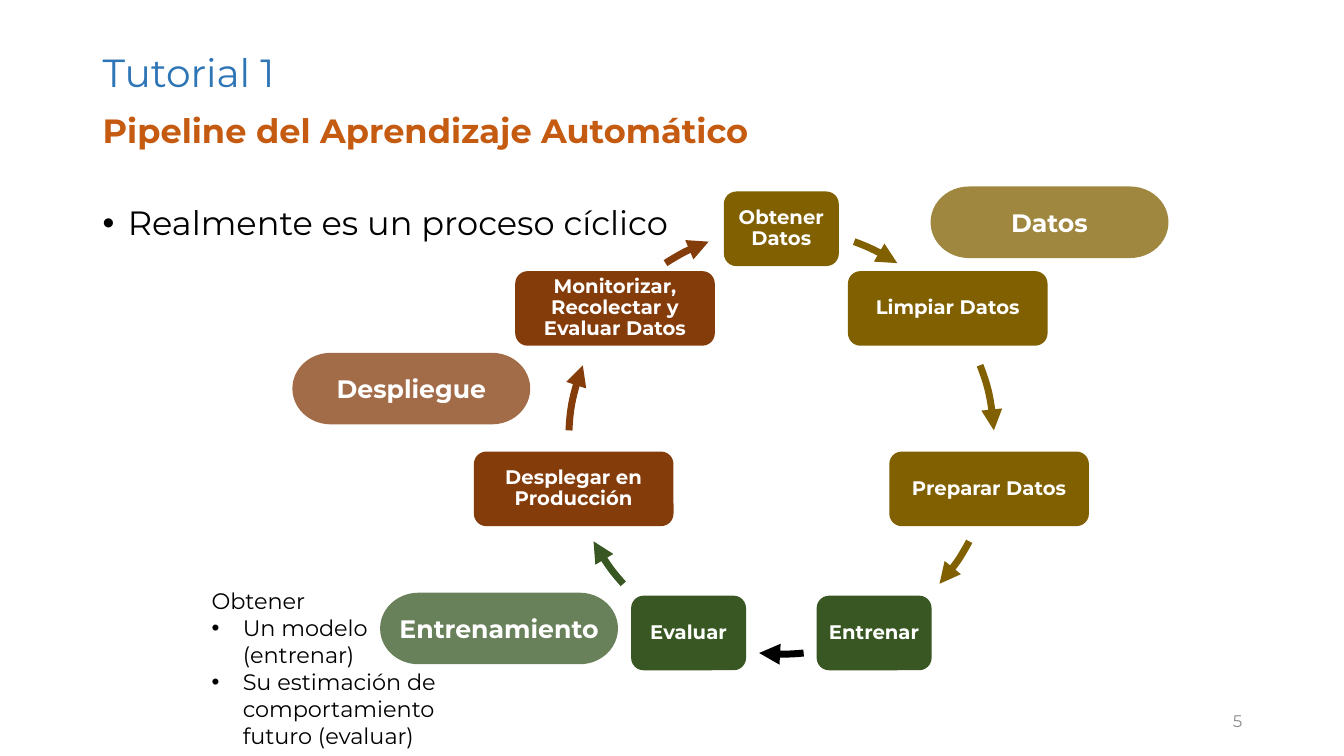
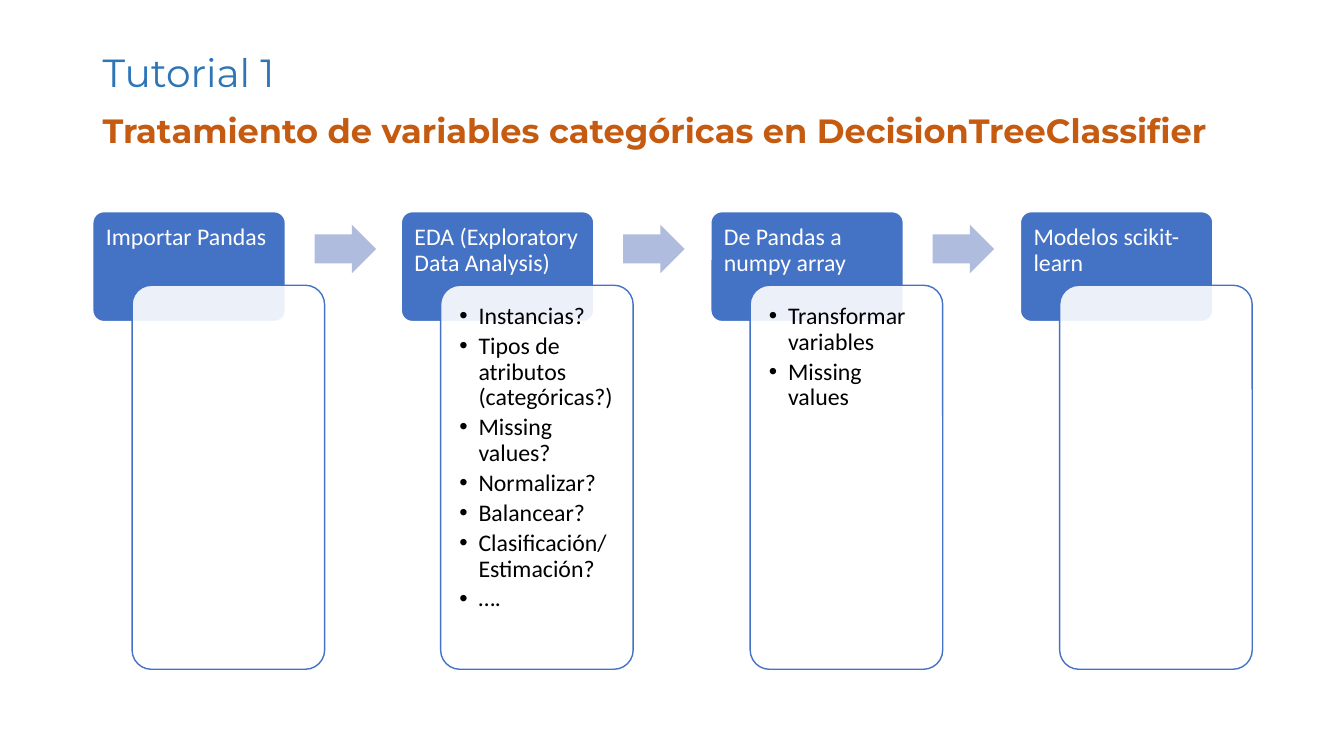
from math import cos, radians, sin

from lxml import etree
from pptx import Presentation
from pptx.dml.color import RGBColor
from pptx.enum.shapes import MSO_SHAPE
from pptx.enum.text import MSO_ANCHOR, PP_ALIGN
from pptx.oxml.ns import qn
from pptx.util import Pt

PX = 9144  # EMU per px, 100 px to the inch
ROUNDED, PILL = MSO_SHAPE.ROUNDED_RECTANGLE, MSO_SHAPE.FLOWCHART_TERMINATOR
ARC, ARROW = MSO_SHAPE.ARC, MSO_SHAPE.RIGHT_ARROW
TOP, MIDDLE = MSO_ANCHOR.TOP, MSO_ANCHOR.MIDDLE
LEFT, CENTER, RIGHT = PP_ALIGN.LEFT, PP_ALIGN.CENTER, PP_ALIGN.RIGHT

BLACK = RGBColor(0x00, 0x00, 0x00)
WHITE = RGBColor(0xFF, 0xFF, 0xFF)
GRAY = RGBColor(0x8C, 0x8C, 0x8C)
TITLE_BLUE = RGBColor(0x2E, 0x75, 0xB6)
ORANGE = RGBColor(0xC5, 0x5A, 0x11)
GOLD = RGBColor(0x80, 0x60, 0x00)
GREEN = RGBColor(0x38, 0x57, 0x23)
BROWN = RGBColor(0x84, 0x3C, 0x0B)
STEP_BLUE = RGBColor(0x44, 0x72, 0xC4)
PALE_BLUE = RGBColor(0xB0, 0xBC, 0xDE)
MAIN_FONT, STEP_FONT = "Montserrat", "Calibri"

TITLE = "Tutorial 1"
CYCLE_SUBTITLE = "Pipeline del Aprendizaje Automático"
STEPS_SUBTITLE = "Tratamiento de variables categóricas en DecisionTreeClassifier"

# label, width, colour, colour of the next arrow, its start and end in degrees from the top
CYCLE = [
    ("Obtener Datos", 114, GOLD, GOLD, 20, 33),
    ("Limpiar Datos", 198, GOLD, GOLD, 69, 87),
    ("Preparar Datos", 198, GOLD, GOLD, 118, 132),
    ("Entrenar", 114, GREEN, BLACK, 174, 186),
    ("Evaluar", 114, GREEN, GREEN, 228, 242),
    ("Desplegar en Producción", 198, BROWN, BROWN, 273, 291),
    ("Monitorizar, Recolectar y Evaluar Datos", 198, BROWN, BROWN, 327, 340),
]
CENTER_X, CENTER_Y, RADIUS, NODE_HEIGHT = 775, 438, 211, 74
PHASES = [
    ("Despliegue", 290, 350, BROWN),
    ("Entrenamiento", 377, 588, GREEN),
    ("Datos", 923, 185, GOLD),
]
GOALS = ["Un modelo (entrenar)", "Su estimación de comportamiento futuro (evaluar)"]

STEPS = [
    ("Importar Pandas", []),
    ("EDA (Exploratory Data Analysis)", [
        "Instancias?", "Tipos de atributos (categóricas?)", "Missing values?",
        "Normalizar?", "Balancear?", "Clasificación/ Estimación?", "….",
    ]),
    ("De Pandas a numpy array", ["Transformar variables", "Missing values"]),
    ("Modelos scikit-learn", []),
]
FIRST_STEP, LAST_STEP = 92, 1012


def add_bullet(para, indent):
    properties = para._p.get_or_add_pPr()
    properties.set("marL", str(indent * PX))
    properties.set("indent", str(-indent * PX))
    etree.SubElement(properties, qn("a:buFont")).set("typeface", "Arial")
    etree.SubElement(properties, qn("a:buChar")).set("char", "•")


def write(box, lines, *, size, color, font=MAIN_FONT, bold=False, align=LEFT,
          anchor=TOP, spacing=0.9, after=0, indent=0, plain_lines=0,
          insets=(10, 5, 10, 5)):
    """Fill a box with lines; with an indent, all but the first plain_lines get bullets."""
    frame = box.text_frame
    frame.word_wrap = True
    frame.vertical_anchor = anchor
    (frame.margin_left, frame.margin_top,
     frame.margin_right, frame.margin_bottom) = [inset * PX for inset in insets]
    for number, line in enumerate(lines):
        para = frame.paragraphs[0] if number == 0 else frame.add_paragraph()
        para.alignment = align
        para.line_spacing = spacing
        para.space_after = Pt(after)
        if indent and number >= plain_lines:
            add_bullet(para, indent)
        span = para.add_run()
        span.text = line
        span.font.size = Pt(size)
        span.font.name = font
        span.font.bold = bold
        span.font.color.rgb = color


def add_text(page, area, lines, **style):
    box = page.shapes.add_textbox(*[length * PX for length in area])
    write(box, lines, **style)


def add_box(page, kind, area, *, fill=None, opacity=100, line=None, width=1, adjust=()):
    box = page.shapes.add_shape(kind, *[length * PX for length in area])
    box.shadow.inherit = False
    for index, value in enumerate(adjust):
        box.adjustments[index] = value
    if fill is None:
        box.fill.background()
    else:
        box.fill.solid()
        box.fill.fore_color.rgb = fill
        if opacity < 100:
            color = box._element.spPr.find(qn("a:solidFill"))[0]
            etree.SubElement(color, qn("a:alpha")).set("val", str(opacity * 1000))
    if line is None:
        box.line.fill.background()
    else:
        box.line.color.rgb = line
        box.line.width = Pt(width)
    return box


def add_curved_arrow(page, start, end, color):
    # Preset arcs count from three o'clock, in units of 0.6 per degree
    angles = [(angle - 90) % 360 * 0.6 for angle in (start, end)]
    area = (CENTER_X - RADIUS, CENTER_Y - RADIUS, 2 * RADIUS, 2 * RADIUS)
    arc = add_box(page, ARC, area, line=color, width=5, adjust=angles)
    outline = arc._element.spPr.find(qn("a:ln"))
    etree.SubElement(outline, qn("a:tailEnd")).set("type", "triangle")


def add_page(deck, subtitle):
    page = deck.slides.add_slide(deck.slide_layouts[6])
    add_text(page, (92, 40, 1150, 69), [TITLE], size=28, color=TITLE_BLUE, anchor=MIDDLE)
    add_text(page, (92, 109, 1150, 90), [subtitle], size=24, color=ORANGE, bold=True)
    return page


def build_cycle(deck):
    page = add_page(deck, CYCLE_SUBTITLE)
    add_text(page, (92, 200, 600, 60), ["Realmente es un proceso cíclico"],
             size=24, color=BLACK, indent=25)
    add_text(page, (942, 695, 300, 40), ["5"], size=12, color=GRAY,
             align=RIGHT, anchor=MIDDLE, spacing=1)
    for number, (label, width, fill, arrow, start, end) in enumerate(CYCLE):
        angle = radians(360 / len(CYCLE) * number)
        left = round(CENTER_X + RADIUS * sin(angle) - width / 2)
        top = round(CENTER_Y - RADIUS * cos(angle) - NODE_HEIGHT / 2)
        node = add_box(page, ROUNDED, (left, top, width, NODE_HEIGHT), fill=fill)
        write(node, [label], size=14, color=WHITE, bold=True, align=CENTER,
              anchor=MIDDLE, insets=(5, 5, 5, 5))
        add_curved_arrow(page, start, end, arrow)
    for label, left, top, fill in PHASES:
        phase = add_box(page, PILL, (left, top, 236, 71), fill=fill, opacity=75)
        write(phase, [label], size=18, color=WHITE, bold=True, align=CENTER,
              anchor=MIDDLE, spacing=1, insets=(4, 5, 4, 5))
    add_text(page, (200, 578, 256, 172), ["Obtener", *GOALS], size=16, color=BLACK,
             spacing=1, indent=31, plain_lines=1)


def build_steps(deck):
    page = add_page(deck, STEPS_SUBTITLE)
    gaps = len(STEPS) - 1
    for number, (heading, items) in enumerate(STEPS):
        left = FIRST_STEP + (LAST_STEP - FIRST_STEP) * number // gaps
        header = add_box(page, ROUNDED, (left, 210, 191, 109), fill=STEP_BLUE,
                         line=WHITE, adjust=[0.1])
        write(header, [heading], size=17, color=WHITE, font=STEP_FONT,
              insets=(10, 10, 10, 4))
        panel = add_box(page, ROUNDED, (left + 39, 283, 191, 381), fill=WHITE,
                        opacity=90, line=STEP_BLUE, adjust=[0.1])
        if items:
            write(panel, items, size=17, color=BLACK, font=STEP_FONT, after=3,
                  indent=19, insets=(13, 13, 13, 13))
        if number < gaps:
            add_box(page, ARROW, (left + 220, 223, 61, 48), fill=PALE_BLUE,
                    adjust=[0.6, 0.5])


def main():
    deck = Presentation()
    deck.slide_width, deck.slide_height = 1333 * PX, 750 * PX
    build_cycle(deck)
    build_steps(deck)
    deck.save("out.pptx")


if __name__ == "__main__":
    main()
